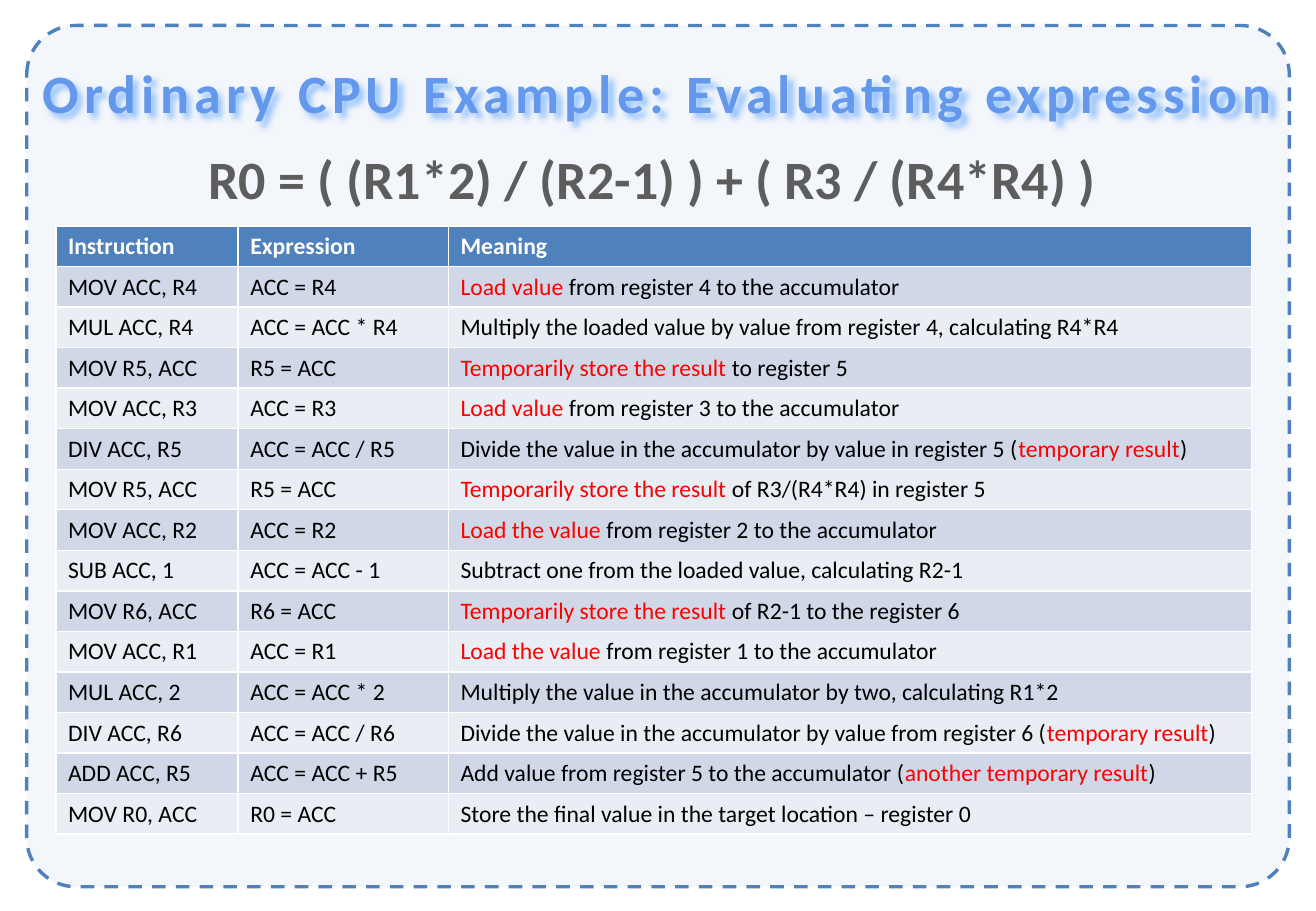
from lxml import etree
from pptx import Presentation
from pptx.dml.color import RGBColor
from pptx.enum.dml import MSO_LINE
from pptx.enum.shapes import MSO_SHAPE
from pptx.enum.text import MSO_AUTO_SIZE, PP_ALIGN
from pptx.oxml.ns import qn
from pptx.util import Inches, Pt

TITLE = "Ordinary CPU Example: Evaluating expression"
FORMULA = "R0 = ( (R1*2) / (R2-1) ) + ( R3 / (R4*R4) ) "
HEADER = ("Instruction", "Expression", "Meaning")
# Text between bars is highlighted.
STEPS = [
    ("MOV ACC, R4", "ACC = R4", "|Load value |from register 4 to the accumulator"),
    ("MUL ACC, R4", "ACC = ACC * R4",
     "Multiply the loaded value by value from register 4, calculating R4*R4"),
    ("MOV R5, ACC", "R5 = ACC", "|Temporarily store the result |to register 5"),
    ("MOV ACC, R3", "ACC = R3", "|Load value |from register 3 to the accumulator"),
    ("DIV ACC, R5", "ACC = ACC / R5",
     "Divide the value in the accumulator by value in register 5 (|temporary result|)"),
    ("MOV R5, ACC", "R5 = ACC",
     "|Temporarily store the result |of R3/(R4*R4) in register 5"),
    ("MOV ACC, R2", "ACC = R2", "|Load the value| from register 2 to the accumulator"),
    ("SUB ACC, 1", "ACC = ACC - 1",
     "Subtract one from the loaded value, calculating R2-1"),
    ("MOV R6, ACC", "R6 = ACC",
     "|Temporarily store the result |of R2-1 to the register 6"),
    ("MOV ACC, R1", "ACC = R1", "|Load the value |from register 1 to the accumulator"),
    ("MUL ACC, 2", "ACC = ACC * 2",
     "Multiply the value in the accumulator by two, calculating R1*2"),
    ("DIV ACC, R6", "ACC = ACC / R6",
     "Divide the value in the accumulator by value from register 6 (|temporary result|)"),
    ("ADD ACC, R5", "ACC = ACC + R5",
     "Add value from register 5 to the accumulator (|another temporary result|)"),
    ("MOV R0, ACC", "R0 = ACC",
     "Store the final value in the target location – register 0"),
]
COLORS = {
    "panel": "DCE6F2", "accent": "4F81BD", "title": "6398ED", "glow": "93C1FF",
    "formula": "5D5D5D", "white": "FFFFFF", "text": "000000", "highlight": "FF0000",
    "odd": "D0D8E8", "even": "E9EDF4",
}
FONT = "Calibri"
WIDTH, HEIGHT = 10.83, 7.5
COLUMNS = (1.5, 1.73, 6.61)
TABLE_LEFT, TABLE_TOP, TABLE_HEIGHT = 0.46, 1.86, 5


def rgb(name):
    return RGBColor.from_string(COLORS[name])


def add_run(p, text, size, color, bold=False):
    r = p.add_run()
    r.text = text
    r.font.name, r.font.size, r.font.bold = FONT, Pt(size), bold
    r.font.color.rgb = rgb(color)
    return r


def add_panel(slide):
    sp = slide.shapes.add_shape(MSO_SHAPE.ROUNDED_RECTANGLE, Inches(0.22), Inches(0.21),
                                Inches(10.39), Inches(7.09))
    sp.adjustments[0] = 0.057
    sp.shadow.inherit = False
    sp.fill.solid()
    sp.fill.fore_color.rgb = rgb("panel")
    color = sp.fill._xPr.find(".//" + qn("a:srgbClr"))
    etree.SubElement(color, qn("a:alpha"), val="34000")
    sp.line.color.rgb = rgb("accent")
    sp.line.width = Pt(2)
    sp.line.dash_style = MSO_LINE.DASH


def add_heading(slide, text, box, color):
    sp = slide.shapes.add_textbox(*map(Inches, box))
    tf = sp.text_frame
    tf.word_wrap = False
    tf.auto_size = MSO_AUTO_SIZE.SHAPE_TO_FIT_TEXT
    p = tf.paragraphs[0]
    p.alignment = PP_ALIGN.CENTER
    return sp, add_run(p, text, 32, color, bold=True)


def add_soft_shadow(sp):
    effects = etree.SubElement(sp._element.spPr, qn("a:effectLst"))
    shadow = etree.SubElement(effects, qn("a:outerShdw"), blurRad="50800",
                              dist="38100", dir="2700000", algn="tl", rotWithShape="0")
    etree.SubElement(shadow, qn("a:srgbClr"), val=COLORS["glow"])


def add_steps_table(slide):
    rows = [HEADER, *STEPS]
    table = slide.shapes.add_table(
        len(rows), len(COLUMNS), Inches(TABLE_LEFT), Inches(TABLE_TOP),
        Inches(sum(COLUMNS)), Inches(TABLE_HEIGHT)).table
    for column, width in zip(table.columns, COLUMNS):
        column.width = Inches(width)
    for i, row in enumerate(rows):
        table.rows[i].height = Inches(TABLE_HEIGHT / len(rows))
        is_header = i == 0
        fill = "accent" if is_header else "odd" if i % 2 else "even"
        plain = "white" if is_header else "text"
        for j, text in enumerate(row):
            cell = table.cell(i, j)
            cell.fill.solid()
            cell.fill.fore_color.rgb = rgb(fill)
            p = cell.text_frame.paragraphs[0]
            for k, part in enumerate(text.split("|")):
                if part:
                    add_run(p, part, 14, "highlight" if k % 2 else plain, is_header)


def main():
    prs = Presentation()
    prs.slide_width, prs.slide_height = Inches(WIDTH), Inches(HEIGHT)
    slide = prs.slides.add_slide(prs.slide_layouts[6])
    add_panel(slide)
    title, r = add_heading(slide, TITLE, (0.19, 0.44, 10.45, 0.64), "title")
    r.font._element.set("spc", "300")
    add_soft_shadow(title)
    add_heading(slide, FORMULA, (1.49, 1.15, 7.86, 0.64), "formula")
    add_steps_table(slide)
    prs.save("out.pptx")


if __name__ == "__main__":
    main()
